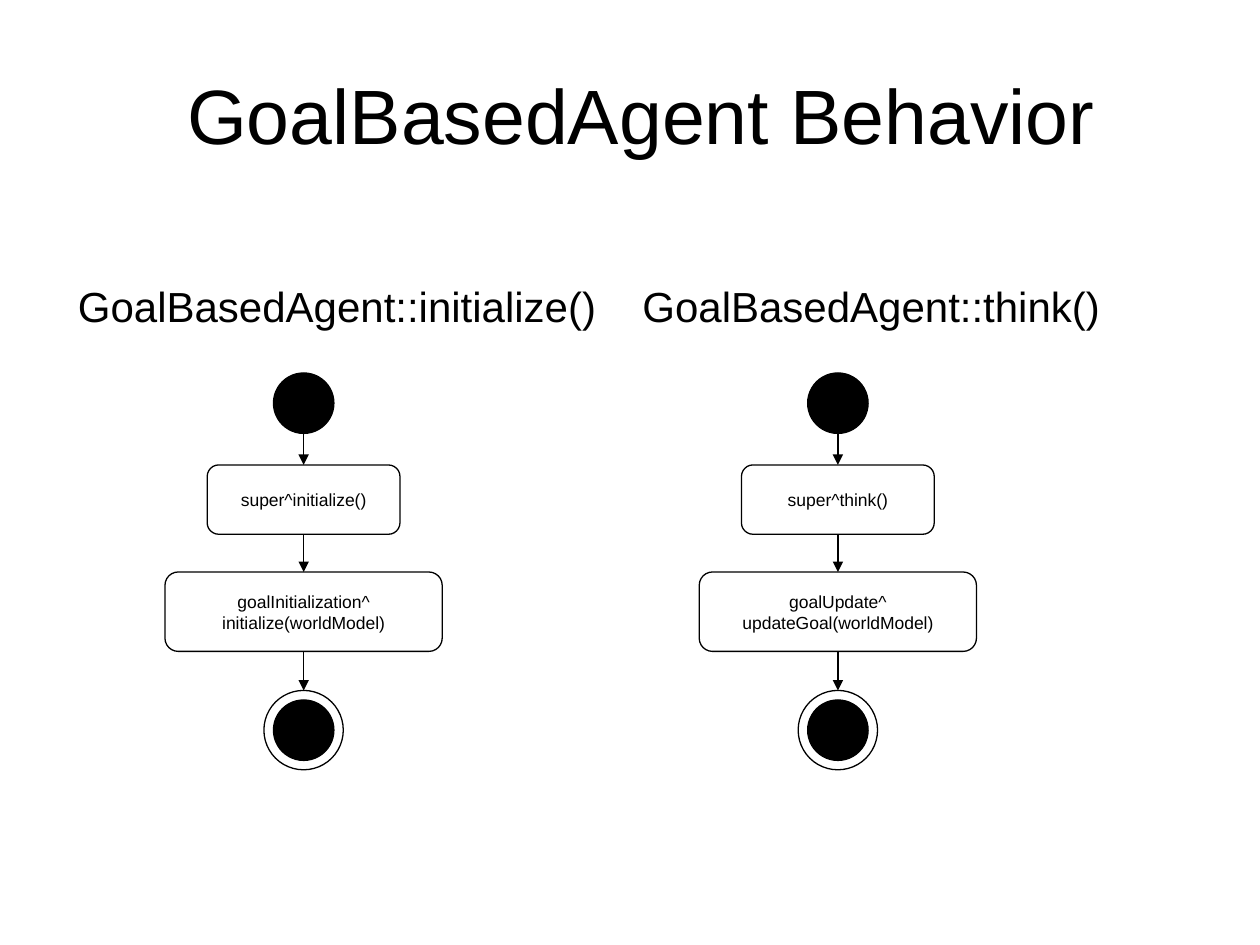
from pptx import Presentation
from pptx.dml.color import RGBColor
from pptx.enum.shapes import MSO_CONNECTOR, MSO_SHAPE
from pptx.enum.text import MSO_ANCHOR, PP_ALIGN
from pptx.oxml.ns import qn
from pptx.util import Inches, Pt
from lxml.etree import SubElement

TITLE = "GoalBasedAgent Behavior"
FLOWS = [
    {"center": 2.41, "heading": "GoalBasedAgent::initialize()", "heading_box": (0.52, 4.31),
     "steps": ["super^initialize()", "goalInitialization^\ninitialize(worldModel)"]},
    {"center": 6.65, "heading": "GoalBasedAgent::think()", "heading_box": (5, 3.83),
     "steps": ["super^think()", "goalUpdate^\nupdateGoal(worldModel)"]},
]
STEP_BOXES = [(3.69, 1.53, 0.55), (4.54, 2.2, 0.63)]
START_TOP, END_TOP = 2.96, 5.48
DOT, RING = 0.48, 0.63
TOP, BOX_BOTTOM, ELLIPSE_BOTTOM = 0, 2, 4

THEME = {
    "font": "Arial", "ink": RGBColor(0, 0, 0), "paper": RGBColor(255, 255, 255),
    "title": Pt(44), "heading": Pt(24), "step": Pt(10), "line": Pt(0.75),
}


def set_text(sp, text, size, anchor, wrap=False):
    tf = sp.text_frame
    tf.text = text
    tf.word_wrap = wrap
    tf.vertical_anchor = anchor
    for p in tf.paragraphs:
        p.alignment = PP_ALIGN.CENTER
        p.font.name = THEME["font"]
        p.font.size = THEME[size]
        p.font.color.rgb = THEME["ink"]


def add_node(shapes, kind, center, top, width, height, fill):
    sp = shapes.add_shape(kind, Inches(center - width / 2), Inches(top),
                          Inches(width), Inches(height))
    sp.shadow.inherit = False
    sp.fill.solid()
    sp.fill.fore_color.rgb = THEME[fill]
    sp.line.color.rgb = THEME["ink"]
    sp.line.width = THEME["line"]
    return sp


def add_arrow(shapes, start, start_site, end):
    cx = shapes.add_connector(MSO_CONNECTOR.STRAIGHT, 0, 0, 0, 0)
    cx.begin_connect(start, BOX_BOTTOM)
    cx.end_connect(end, TOP)
    for link in cx.element.iter(qn("a:stCxn")):
        link.set("idx", str(start_site))
    cx.line.color.rgb = THEME["ink"]
    cx.line.width = THEME["line"]
    props = cx.element.spPr
    SubElement(props.find(qn("a:ln")), qn("a:tailEnd"), type="triangle")
    SubElement(props, qn("a:effectLst"))


def add_flow(shapes, flow):
    center = flow["center"]
    left, width = flow["heading_box"]
    heading = shapes.add_textbox(Inches(left), Inches(2.18), Inches(width), Inches(0.5))
    set_text(heading, flow["heading"], "heading", MSO_ANCHOR.TOP)

    start = add_node(shapes, MSO_SHAPE.OVAL, center, START_TOP, DOT, DOT, "ink")
    steps = []
    for text, (top, width, height) in zip(flow["steps"], STEP_BOXES):
        box = add_node(shapes, MSO_SHAPE.ROUNDED_RECTANGLE, center, top, width, height, "paper")
        set_text(box, text, "step", MSO_ANCHOR.MIDDLE)
        steps.append(box)
    final = shapes.add_group_shape().shapes
    ring = add_node(final, MSO_SHAPE.OVAL, center, END_TOP, RING, RING, "paper")
    add_node(final, MSO_SHAPE.OVAL, center, END_TOP + (RING - DOT) / 2, DOT, DOT, "ink")

    first, second = steps
    add_arrow(shapes, start, ELLIPSE_BOTTOM, first)
    add_arrow(shapes, first, BOX_BOTTOM, second)
    add_arrow(shapes, second, BOX_BOTTOM, ring)


def main():
    prs = Presentation()
    prs.slide_width, prs.slide_height = Inches(10), Inches(7.5)
    s = prs.slides.add_slide(prs.slide_layouts[5])
    title = s.shapes.title
    title.left, title.top = Inches(0.59), Inches(0.28)
    title.width, title.height = Inches(9), Inches(1.25)
    set_text(title, TITLE, "title", MSO_ANCHOR.MIDDLE, wrap=True)
    for flow in FLOWS:
        add_flow(s.shapes, flow)
    prs.save("out.pptx")


if __name__ == "__main__":
    main()
